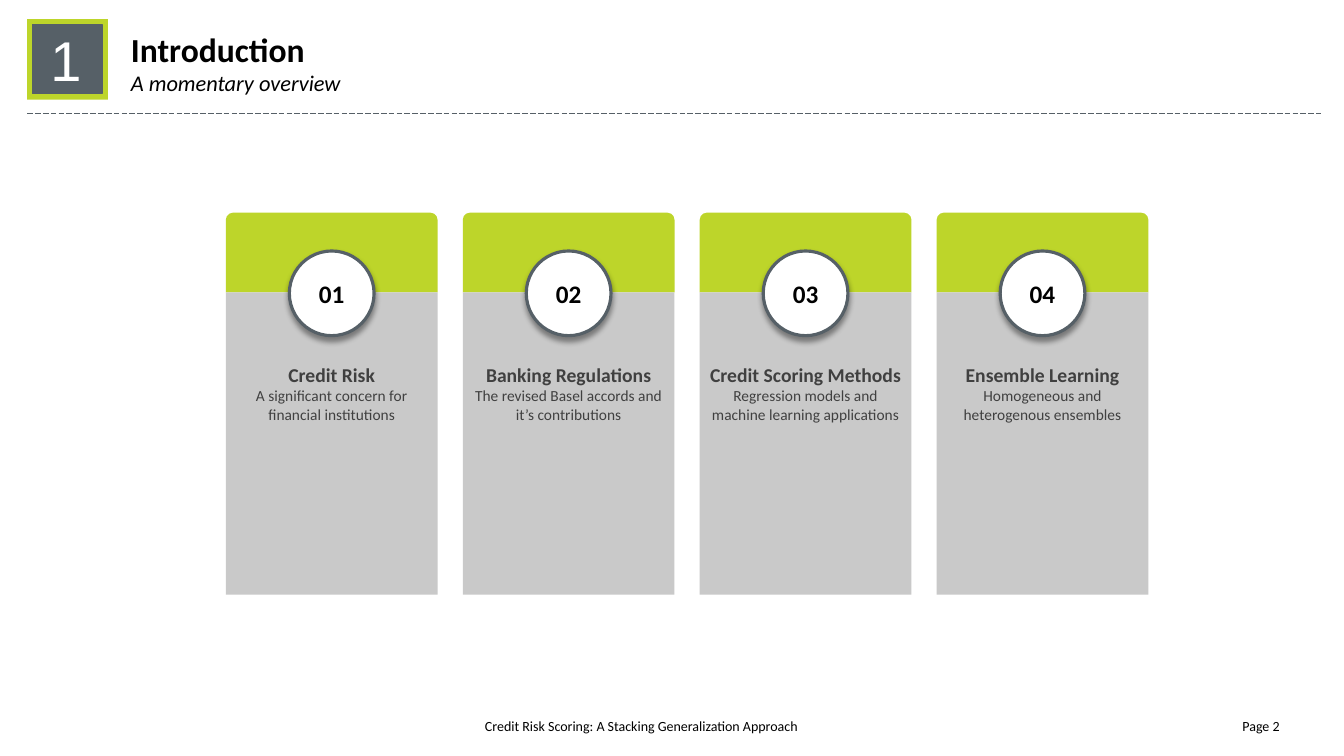
from lxml import etree
from pptx import Presentation
from pptx.dml.color import RGBColor
from pptx.enum import dml, shapes, text
from pptx.oxml import ns
from pptx.util import Inches, Pt

LIME, SLATE, SILVER = "BDD52A", "566067", "C9C9C9"
BLACK, WHITE, CHARCOAL = "000000", "FFFFFF", "404040"
LEFT, CENTER, RIGHT = text.PP_ALIGN.LEFT, text.PP_ALIGN.CENTER, text.PP_ALIGN.RIGHT
TOP, MIDDLE = text.MSO_ANCHOR.TOP, text.MSO_ANCHOR.MIDDLE
KIND = shapes.MSO_SHAPE

CARDS = [
    ("Credit Risk", "A significant concern for financial institutions"),
    ("Banking Regulations", "The revised Basel accords and it’s contributions"),
    ("Credit Scoring Methods", "Regression models and machine learning applications"),
    ("Ensemble Learning", "Homogeneous and heterogenous ensembles"),
]


def color(value):
    return RGBColor.from_string(value)


def add_effects(shape):
    return etree.SubElement(shape._element.spPr, ns.qn("a:effectLst"))


def add_soft_shadow(shape):
    """Cast a blurred 40% black shadow straight down."""
    shadow = etree.SubElement(add_effects(shape), ns.qn("a:outerShdw"),
                              blurRad=str(Pt(4)), dist=str(Pt(3)),
                              dir="5400000", algn="t", rotWithShape="0")
    tint = etree.SubElement(shadow, ns.qn("a:srgbClr"), val=BLACK)
    etree.SubElement(tint, ns.qn("a:alpha"), val="40000")


def add_block(parent, kind, box, fill, line=None, width=1):
    """Add a flat preset shape; box is left, top, width, height in inches."""
    shape = parent.add_shape(kind, *map(Inches, box))
    shape.fill.solid()
    shape.fill.fore_color.rgb = color(fill)
    if line:
        shape.line.color.rgb = color(line)
        shape.line.width = Pt(width)
    else:
        shape.line.fill.background()
    return shape


def write(shape, lines, ink, align=CENTER, anchor=TOP, insets=(0.1, 0.05, 0.1, 0.05),
          font="Calibri"):
    """Write one paragraph per (words, size, bold, italic) line."""
    frame = shape.text_frame
    frame.word_wrap = True
    frame.vertical_anchor = anchor
    (frame.margin_left, frame.margin_top,
     frame.margin_right, frame.margin_bottom) = map(Inches, insets)
    frame.text = "\n".join(line[0] for line in lines)
    for para, (_, size, bold, italic) in zip(frame.paragraphs, lines):
        para.alignment = align
        para.font.name = font
        para.font.size = Pt(size)
        para.font.bold = bold
        para.font.italic = italic
        para.font.color.rgb = color(ink)


def add_text(parent, box, lines, ink, **layout):
    write(parent.add_textbox(*map(Inches, box)), lines, ink, **layout)


def add_badge(page, left, top, size):
    badge = page.shapes.add_group_shape().shapes
    add_block(badge, KIND.RECTANGLE, (left, top, size, size), LIME).shadow.inherit = False
    inner = (left + 0.05, top + 0.05, size - 0.11, size - 0.11)
    add_block(badge, KIND.RECTANGLE, inner, SLATE, SLATE).shadow.inherit = False
    add_text(badge, (left + 0.19, top + 0.06, 0.39, 0.67), [("1", 40, False, False)],
             WHITE, insets=(0, 0, 0, 0), font="Arial")


def add_header(page, left, top, width):
    add_badge(page, left, top, 0.8)
    add_text(page.shapes, (left + 0.93, top + 0.05, 10.49, 0.77),
             [("Introduction", 24, True, False),
              ("A momentary overview", 16, False, True)], BLACK, align=LEFT)
    rule_top = Inches(top + 0.93)
    rule = page.shapes.add_connector(shapes.MSO_CONNECTOR.STRAIGHT, Inches(left), rule_top,
                                     Inches(left + width), rule_top)
    rule.line.color.rgb = color(SLATE)
    rule.line.width = Pt(0.5)
    rule.line.dash_style = dml.MSO_LINE.LONG_DASH
    add_effects(rule)


def add_card(page, left, top, width, number, title, detail):
    cap_height, body_height, circle_size = 0.79, 3, 0.84
    card = page.shapes.add_group_shape().shapes
    cap = add_block(card, KIND.ROUND_2_SAME_RECTANGLE, (left, top, width, cap_height), LIME)
    cap.adjustments[0] = 0.09
    cap.shadow.inherit = False
    body = add_block(card, KIND.RECTANGLE, (left, top + cap_height, width, body_height), SILVER)
    body.shadow.inherit = False
    write(body, [(title, 14, True, False), (detail, 11, False, False)], CHARCOAL,
          insets=(0.1, 0.7, 0.1, 0.05))

    circle_box = (left + (width - circle_size) / 2, top + 0.38, circle_size, circle_size)
    circle = add_block(page.shapes, KIND.OVAL, circle_box, WHITE, SLATE, 2.25)
    add_soft_shadow(circle)
    write(circle, [(f"{number:02}", 18, True, False)], BLACK, anchor=MIDDLE)


def add_cards(page, left, top, width, gap):
    for index, (title, detail) in enumerate(CARDS):
        add_card(page, left + index * (width + gap), top, width, index + 1, title, detail)


def add_footer(page, top):
    for left, words, align in (
        (4.67, "Credit Risk Scoring: A Stacking Generalization Approach", CENTER),
        (9.41, "Page 2", RIGHT),
    ):
        add_text(page.shapes, (left, top, 3.38, 0.2), [(words, 10, False, False)],
                 BLACK, align=align, anchor=MIDDLE)


def main():
    deck = Presentation()
    deck.slide_width, deck.slide_height = Inches(13.33), Inches(7.5)
    page = deck.slides.add_slide(deck.slide_layouts[6])
    add_header(page, 0.27, 0.19, 12.83)
    add_cards(page, 2.24, 2.11, 2.1, 0.25)
    add_footer(page, 7.1)
    deck.save("out.pptx")


if __name__ == "__main__":
    main()
